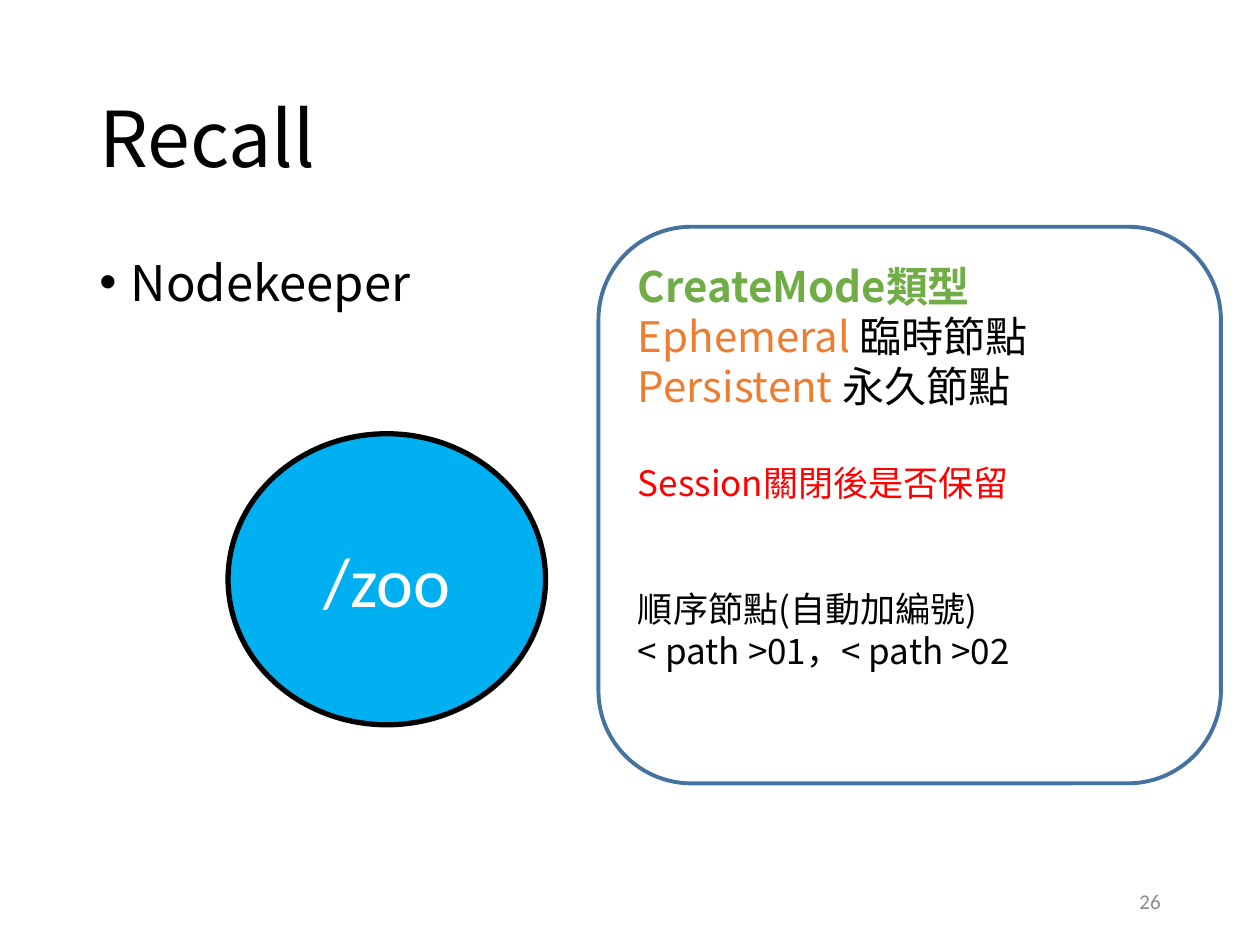
from dataclasses import dataclass
from pptx import Presentation
from pptx.dml.color import RGBColor as RGB
from pptx.enum.shapes import MSO_SHAPE as Kind
from pptx.enum.text import MSO_ANCHOR as Anchor, PP_ALIGN as Align
from pptx.oxml.ns import qn
from pptx.util import Inches, Pt
from lxml.etree import SubElement


@dataclass(frozen=True)
class Theme:
    sans: str = "Noto Sans CJK SC"
    plain: str = "Calibri"
    black: str = "000000"
    white: str = "FFFFFF"
    gray: str = "8C8C8C"
    green: str = "70AD47"
    orange: str = "ED7D31"
    red: str = "FF0000"
    sky: str = "00B0F0"
    edge: str = "43739E"
    title: int = 44
    node: int = 40
    body: int = 28
    head: int = 24
    note: int = 20
    foot: int = 12
    pitch: float = 1.2  # line height per point of type


T = Theme()
WIDE, HIGH = 10, 7.5

# Content: each line is (size, blank lines' height before, runs of text and colour)
TITLE = "Recall"
TOPIC = "Nodekeeper"
NODE = "/zoo"
PAGE = "26"
MODES = [
    (T.head, 0, [("CreateMode類型", T.green, True)]),
    (T.head, 0, [("Ephemeral ", T.orange, False), ("臨時節點", T.black, False)]),
    (T.head, 0, [("Persistent", T.orange, False), (" 永久節點", T.black, False)]),
    (T.note, T.head, [("Session關閉後是否保留", T.red, False)]),
    (T.note, 2 * T.note, [("順序節點(自動加編號)", T.black, False)]),
    (T.note, 0, [("< path >01，< path >02", T.black, False)]),
]

# Places as shares of the slide: left, top, width, height
PLACE = {
    "title": (0.069, 0.053, 0.862, 0.193),
    "topic": (0.069, 0.267, 0.862, 0.635),
    "page": (0.706, 0.927, 0.225, 0.053),
    "node": (0.181, 0.459, 0.252, 0.308),
    "modes": (0.475, 0.24, 0.494, 0.589),
}


def spot(name):
    return [Inches(share * side) for share, side in zip(PLACE[name], (WIDE, HIGH) * 2)]


def frame(shape, anchor):
    text = shape.text_frame
    text.word_wrap = True
    text.vertical_anchor = anchor
    return text


def write(para, words, size, tint, font=T.sans, bold=False):
    run = para.add_run()
    run.text = words
    run.font.size, run.font.bold, run.font.name = Pt(size), bold, font
    run.font.color.rgb = RGB.from_string(tint)
    SubElement(run.font._element, qn("a:ea")).set("typeface", T.sans)


def label(name, words, size, tint, anchor, font=T.sans, tight=None):
    para = frame(slide.shapes.add_textbox(*spot(name)), anchor).paragraphs[0]
    if tight:
        para.line_spacing = Pt(round(size * T.pitch * tight, 1))
    write(para, words, size, tint, font)
    return para


def draw(name, kind, edge, width, fill=None):
    shape = slide.shapes.add_shape(kind, *spot(name))
    shape.shadow.inherit = False
    if fill:
        shape.fill.solid()
        shape.fill.fore_color.rgb = RGB.from_string(fill)
    else:
        shape.fill.background()
    shape.line.color.rgb = RGB.from_string(edge)
    shape.line.width = Pt(width)
    return shape


deck = Presentation()
deck.slide_width, deck.slide_height = Inches(WIDE), Inches(HIGH)
slide = deck.slides.add_slide(deck.slide_layouts[6])

# Title, bulleted topic and page number
label("title", TITLE, T.title, T.black, Anchor.MIDDLE, tight=0.9)
topic = label("topic", TOPIC, T.body, T.black, Anchor.TOP, tight=0.9)
props = topic._p.get_or_add_pPr()
props.set("marL", str(Inches(0.25)))
props.set("indent", str(-Inches(0.25)))
SubElement(props, qn("a:buFont")).set("typeface", "Arial")
SubElement(props, qn("a:buChar")).set("char", "•")
page = label("page", PAGE, T.foot, T.gray, Anchor.MIDDLE, T.plain)
page.alignment = Align.RIGHT

# Root node
node = draw("node", Kind.OVAL, T.black, 3, T.sky)
para = frame(node, Anchor.MIDDLE).paragraphs[0]
para.alignment = Align.CENTER
write(para, NODE, T.node, T.white, T.plain)

# Panel of node modes
panel = frame(draw("modes", Kind.ROUNDED_RECTANGLE, T.edge, 2.25), Anchor.TOP)
for row, (size, gap, runs) in enumerate(MODES):
    para = panel.add_paragraph() if row else panel.paragraphs[0]
    para.alignment = Align.LEFT
    para.line_spacing = Pt(round(size * T.pitch, 1))
    para.space_before = Pt(round(gap * T.pitch, 1))
    for words, tint, bold in runs:
        write(para, words, size, tint, bold=bold)

deck.save("out.pptx")
